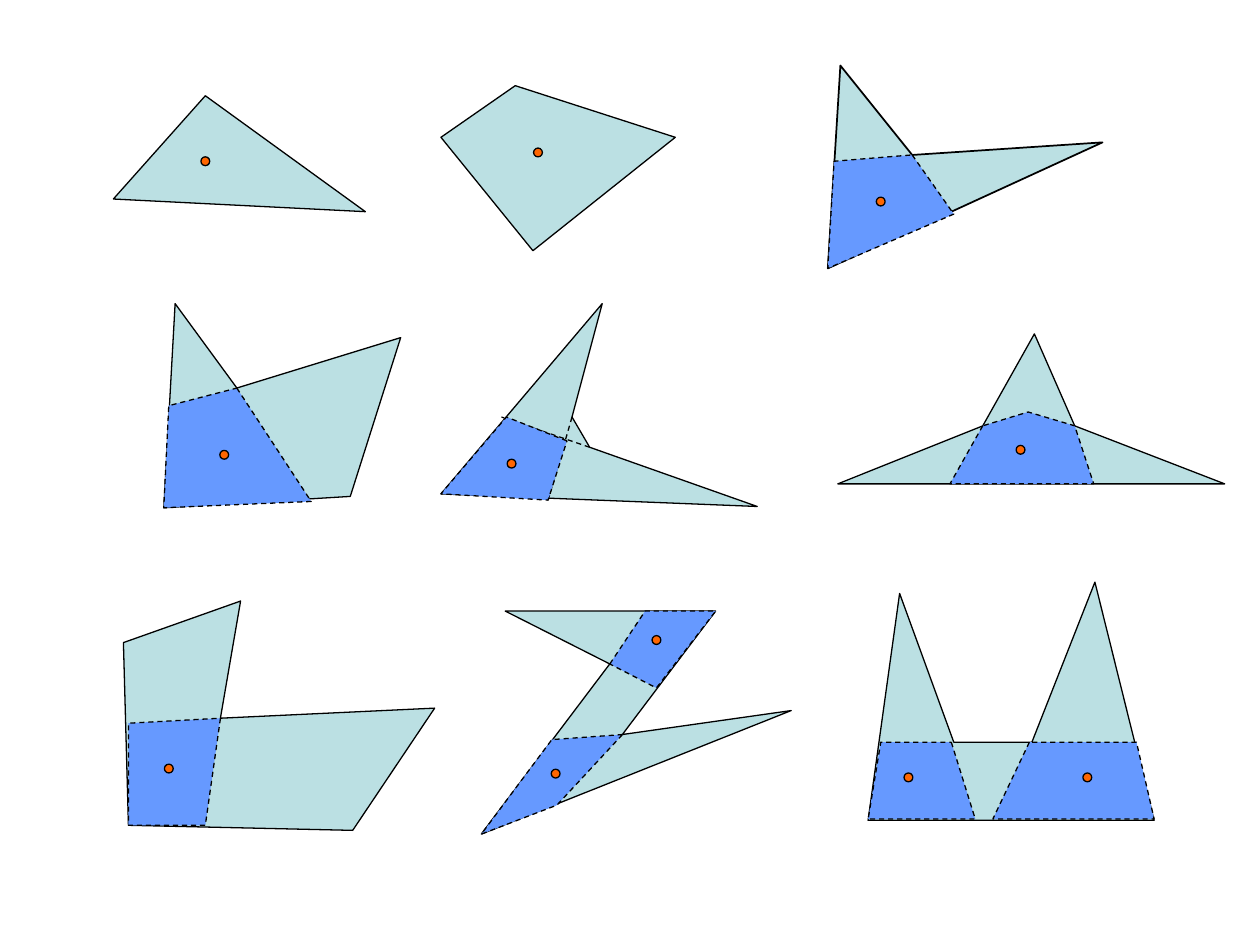
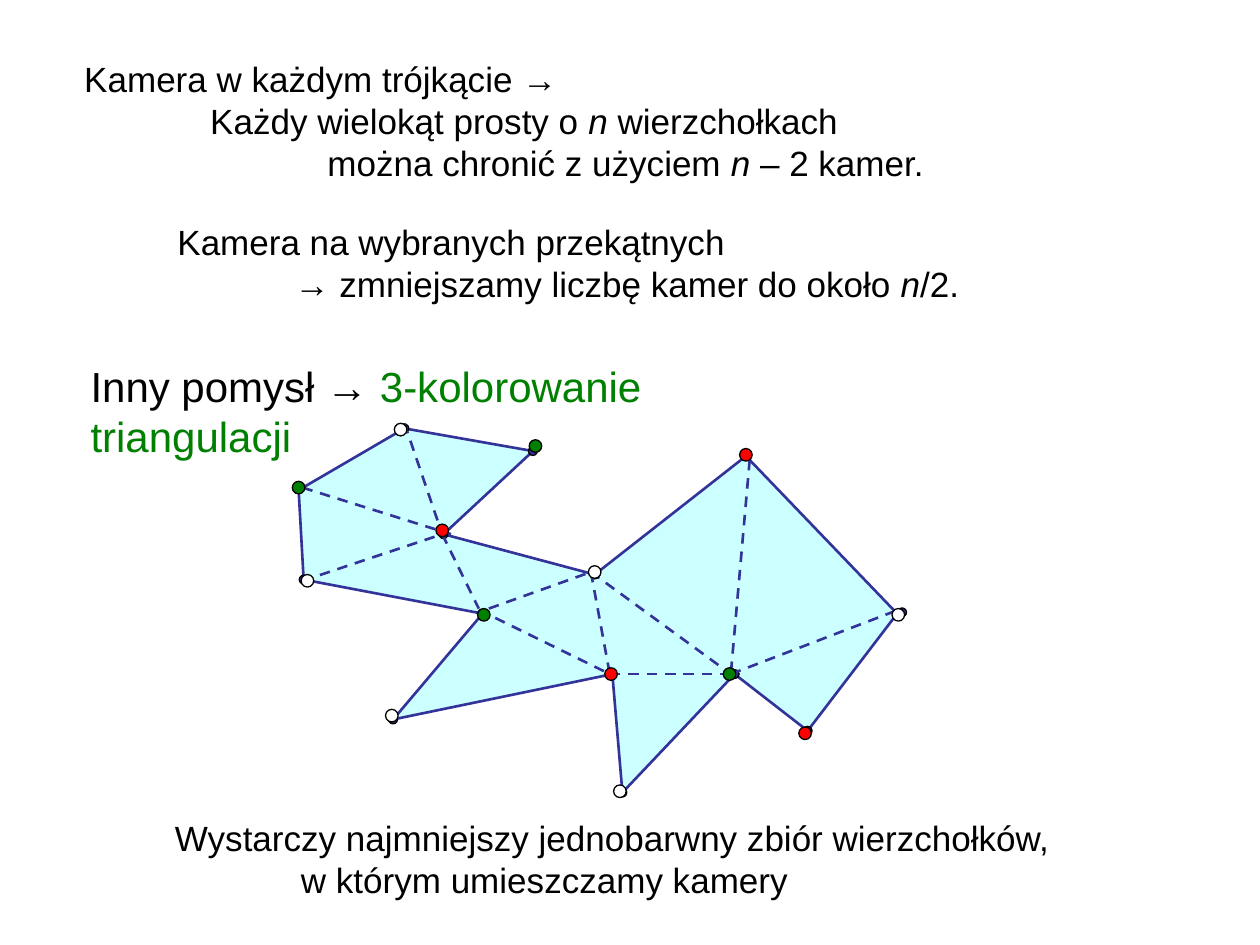
"""Build two slides on guarding polygonal galleries with cameras."""

from dataclasses import dataclass
from typing import Optional, Union

import lxml.etree
import pptx
import pptx.dml.color
import pptx.enum.dml
import pptx.enum.shapes
import pptx.oxml.ns
import pptx.shapes.autoshape
import pptx.shapes.connector
import pptx.shapes.shapetree
import pptx.slide
import pptx.util

Point = tuple[float, float]
Polygon = tuple[Point, ...]
Segment = tuple[Point, Point]

COLOURS = {
    "black": "000000",
    "white": "FFFFFF",
    "room": "BBE0E3",
    "guarded": "6699FF",
    "camera": "FF6600",
    "gallery": "CCFFFF",
    "wall": "333399",
    "green": "008000",
    "red": "FF0000",
}
FONT = "Arial"
THIN = 0.75
CAMERA_SIZE = 0.07
CORNER_SIZE = 0.07
MARK_SIZE = 0.1
INSET_X, INSET_Y = 0.1, 0.05


@dataclass(frozen=True)
class Room:
    outline: Polygon
    cameras: Polygon
    guarded: tuple[Polygon, ...] = ()
    sightlines: tuple[Segment, ...] = ()
    wall_width: float = THIN


@dataclass(frozen=True)
class Vertex:
    corner: Point
    mark: Point
    colour: str
    dot: Optional[Point] = None


@dataclass(frozen=True)
class Span:
    text: str
    italic: bool = False
    colour: str = "black"


@dataclass(frozen=True)
class Line:
    spans: tuple[Span, ...]
    indent: float = 0


@dataclass(frozen=True)
class Caption:
    left: float
    top: float
    width: float
    height: float
    lines: tuple[Line, ...]
    size: int = 20


ROOMS = (
    Room(((1.63, 0.76), (0.9, 1.58), (2.9, 1.68)), ((1.63, 1.28),)),
    Room(((4.09, 0.68), (3.5, 1.09), (4.23, 1.99), (5.36, 1.09)), ((4.27, 1.21),)),
    Room(
        ((6.67, 0.52), (6.57, 2.13), (8.75, 1.13), (7.24, 1.23)),
        ((6.99, 1.6),),
        (((7.24, 1.23), (7.57, 1.7), (6.57, 2.13), (6.62, 1.28)),),
        wall_width=1,
    ),
    Room(
        ((1.39, 2.41), (1.3, 4.03), (2.78, 3.94), (3.18, 2.68), (1.88, 3.08)),
        ((1.78, 3.61),),
        (((1.88, 3.08), (2.47, 3.98), (1.3, 4.03), (1.34, 3.22)),),
    ),
    Room(
        ((4.78, 2.41), (3.5, 3.92), (6.01, 4.02), (4.68, 3.55), (4.54, 3.31)),
        ((4.06, 3.68),),
        (((4.5, 3.5), (4.02, 3.31), (3.5, 3.92), (4.35, 3.97)),),
        (((4.54, 3.31), (4.35, 3.97)), ((4.68, 3.55), (3.98, 3.31))),
    ),
    Room(
        ((8.21, 2.65), (7.8, 3.38), (6.65, 3.84), (9.72, 3.84), (8.53, 3.38)),
        ((8.1, 3.57),),
        (((7.8, 3.38), (7.54, 3.84), (8.68, 3.84), (8.53, 3.38), (8.16, 3.27)),),
    ),
    Room(
        ((1.91, 4.77), (0.98, 5.1), (1.02, 6.55), (2.8, 6.59), (3.45, 5.62), (1.75, 5.7)),
        ((1.34, 6.1),),
        (((1.75, 5.7), (1.63, 6.55), (1.02, 6.55), (1.02, 5.74)),),
    ),
    Room(
        ((4.01, 4.85), (5.68, 4.85), (4.94, 5.83), (6.28, 5.64), (3.82, 6.62), (4.84, 5.27)),
        ((5.21, 5.08), (4.41, 6.14)),
        (
            ((4.84, 5.27), (5.12, 4.85), (5.68, 4.85), (5.21, 5.46)),
            ((4.94, 5.83), (4.42, 6.39), (3.82, 6.62), (4.38, 5.87)),
        ),
    ),
    Room(
        ((6.89, 6.51), (9.16, 6.51), (8.69, 4.62), (8.19, 5.89), (7.57, 5.89), (7.14, 4.71)),
        ((7.21, 6.17), (8.63, 6.17)),
        (
            ((7.55, 5.89), (7.74, 6.5), (6.89, 6.5), (6.99, 5.89)),
            ((8.17, 5.89), (7.88, 6.5), (9.16, 6.5), (9.02, 5.89)),
        ),
    ),
)

GALLERY = (
    Vertex((3.21, 3.4), (3.18, 3.41), "white"),
    Vertex((2.37, 3.89), (2.37, 3.87), "green", dot=(2.36, 3.88)),
    Vertex((2.41, 4.6), (2.44, 4.61), "white"),
    Vertex((3.83, 4.87), (3.84, 4.88), "green"),
    Vertex((3.12, 5.71), (3.11, 5.68), "white"),
    Vertex((4.86, 5.35), (4.85, 5.35), "red", dot=(4.85, 5.35)),
    Vertex((4.94, 6.29), (4.92, 6.28), "white"),
    Vertex((5.83, 5.35), (5.79, 5.35), "green"),
    Vertex((6.41, 5.8), (6.39, 5.82), "red"),
    Vertex((7.12, 4.87), (7.13, 4.88), "white", dot=(7.16, 4.86)),
    Vertex((5.92, 3.62), (5.92, 3.61), "red"),
    Vertex((4.72, 4.56), (4.72, 4.54), "white"),
    Vertex((3.52, 4.24), (3.51, 4.21), "red"),
    Vertex((4.23, 3.58), (4.25, 3.54), "green"),
)

DIAGONALS = (
    ((3.21, 3.36), (3.51, 4.24)),
    ((2.4, 3.87), (3.58, 4.24)),
    ((2.4, 4.61), (3.51, 4.24)),
    ((3.51, 4.24), (3.8, 4.83)),
    ((3.8, 4.84), (4.84, 5.35)),
    ((3.88, 4.83), (4.69, 4.54)),
    ((4.69, 4.54), (4.84, 5.35)),
    ((4.84, 5.35), (5.87, 5.35)),
    ((4.69, 4.54), (5.8, 5.35)),
    ((5.95, 3.65), (5.8, 5.35)),
    ((5.8, 5.35), (7.13, 4.84)),
)

N = Span("n", italic=True)
CAPTIONS = (
    Caption(0.57, 0.41, 6.95, 1.1, (
        Line((Span("Kamera w każdym trójkącie →"),)),
        Line((Span("Każdy wielokąt prosty o "), N, Span(" wierzchołkach")), 1),
        Line((Span("można chronić z użyciem "), N, Span(" – 2 kamer.")), 1.93),
    )),
    Caption(1.31, 1.7, 6.5, 0.77, (
        Line((Span("Kamera na wybranych przekątnych"),)),
        Line((Span("→ zmniejszamy liczbę kamer do około "), N, Span("/2.")), 0.93),
    )),
    Caption(0.62, 2.81, 6.18, 0.5, (
        Line((Span("Inny pomysł → "), Span("3-kolorowanie triangulacji", colour="green"))),
    ), size=24),
    Caption(1.29, 6.43, 7.24, 0.77, (
        Line((Span("Wystarczy najmniejszy jednobarwny zbiór wierzchołków,"),)),
        Line((Span("w którym umieszczamy kamery"),), 1),
    )),
)


def inches(value: float) -> pptx.util.Length:
    return pptx.util.Cm(value * 2.54)


def rgb(colour: str) -> pptx.dml.color.RGBColor:
    return pptx.dml.color.RGBColor.from_string(COLOURS[colour])


def style_line(
    part: Union[pptx.shapes.autoshape.Shape, pptx.shapes.connector.Connector],
    colour: str, width: float, dashed: bool,
) -> None:
    part.line.color.rgb = rgb(colour)
    part.line.width = pptx.util.Pt(width)
    if dashed:
        part.line.dash_style = pptx.enum.dml.MSO_LINE.DASH


def style_shape(
    shape: pptx.shapes.autoshape.Shape, fill: str,
    line: str = "black", width: float = THIN, dashed: bool = False,
) -> None:
    shape.shadow.inherit = False
    shape.fill.solid()
    shape.fill.fore_color.rgb = rgb(fill)
    style_line(shape, line, width, dashed)


def draw_polygon(
    figure: pptx.shapes.shapetree.GroupShapes, corners: Polygon, fill: str,
    line: str = "black", width: float = THIN, dashed: bool = False,
) -> None:
    start, *others = [(inches(x), inches(y)) for x, y in corners]
    builder = figure.build_freeform(*start)
    builder.add_line_segments(others, close=True)
    style_shape(builder.convert_to_shape(), fill, line, width, dashed)


def draw_dot(
    figure: pptx.shapes.shapetree.GroupShapes, centre: Point, size: float, fill: str,
) -> None:
    left, top = (inches(value - size / 2) for value in centre)
    oval = pptx.enum.shapes.MSO_SHAPE.OVAL
    style_shape(figure.add_shape(oval, left, top, inches(size), inches(size)), fill)


def draw_dashed_line(
    figure: pptx.shapes.shapetree.GroupShapes, segment: Segment, colour: str, width: float,
) -> None:
    ends = [inches(value) for point in segment for value in point]
    connector = figure.add_connector(pptx.enum.shapes.MSO_CONNECTOR.STRAIGHT, *ends)
    style_line(connector, colour, width, dashed=True)
    lxml.etree.SubElement(connector._element.spPr, pptx.oxml.ns.qn("a:effectLst"))


def draw_room(slide: pptx.slide.Slide, room: Room) -> None:
    figure = slide.shapes.add_group_shape().shapes
    draw_polygon(figure, room.outline, "room", width=room.wall_width)
    for sightline in room.sightlines:
        draw_dashed_line(figure, sightline, "black", THIN)
    for region in room.guarded:
        draw_polygon(figure, region, "guarded", dashed=True)
    for camera in room.cameras:
        draw_dot(figure, camera, CAMERA_SIZE, "camera")


def draw_gallery(slide: pptx.slide.Slide) -> None:
    figure = slide.shapes.add_group_shape().shapes
    draw_polygon(figure, tuple(v.corner for v in GALLERY), "gallery", "wall", 1.5)
    for vertex in GALLERY:
        draw_dot(figure, vertex.dot or vertex.corner, CORNER_SIZE, "wall")
    for diagonal in DIAGONALS:
        draw_dashed_line(figure, diagonal, "wall", 1.5)
    for vertex in GALLERY:
        draw_dot(figure, vertex.mark, MARK_SIZE, vertex.colour)


def draw_caption(slide: pptx.slide.Slide, caption: Caption) -> None:
    place = (caption.left, caption.top, caption.width, caption.height)
    frame = slide.shapes.add_textbox(*map(inches, place)).text_frame
    frame.word_wrap = True
    frame.margin_left = frame.margin_right = inches(INSET_X)
    frame.margin_top = frame.margin_bottom = inches(INSET_Y)
    for index, line in enumerate(caption.lines):
        paragraph = frame.add_paragraph() if index else frame.paragraphs[0]
        paragraph._p.get_or_add_pPr().set("marL", str(int(inches(line.indent))))
        for span in line.spans:
            run = paragraph.add_run()
            run.text = span.text
            run.font.name = FONT
            run.font.size = pptx.util.Pt(caption.size)
            run.font.italic = span.italic
            run.font.color.rgb = rgb(span.colour)


def main() -> None:
    deck = pptx.Presentation()
    deck.slide_width, deck.slide_height = inches(10), inches(7.5)
    blank = deck.slide_layouts[6]
    rooms_slide = deck.slides.add_slide(blank)
    for room in ROOMS:
        draw_room(rooms_slide, room)
    colouring_slide = deck.slides.add_slide(blank)
    draw_gallery(colouring_slide)
    for caption in CAPTIONS:
        draw_caption(colouring_slide, caption)
    deck.save("out.pptx")


if __name__ == "__main__":
    main()
